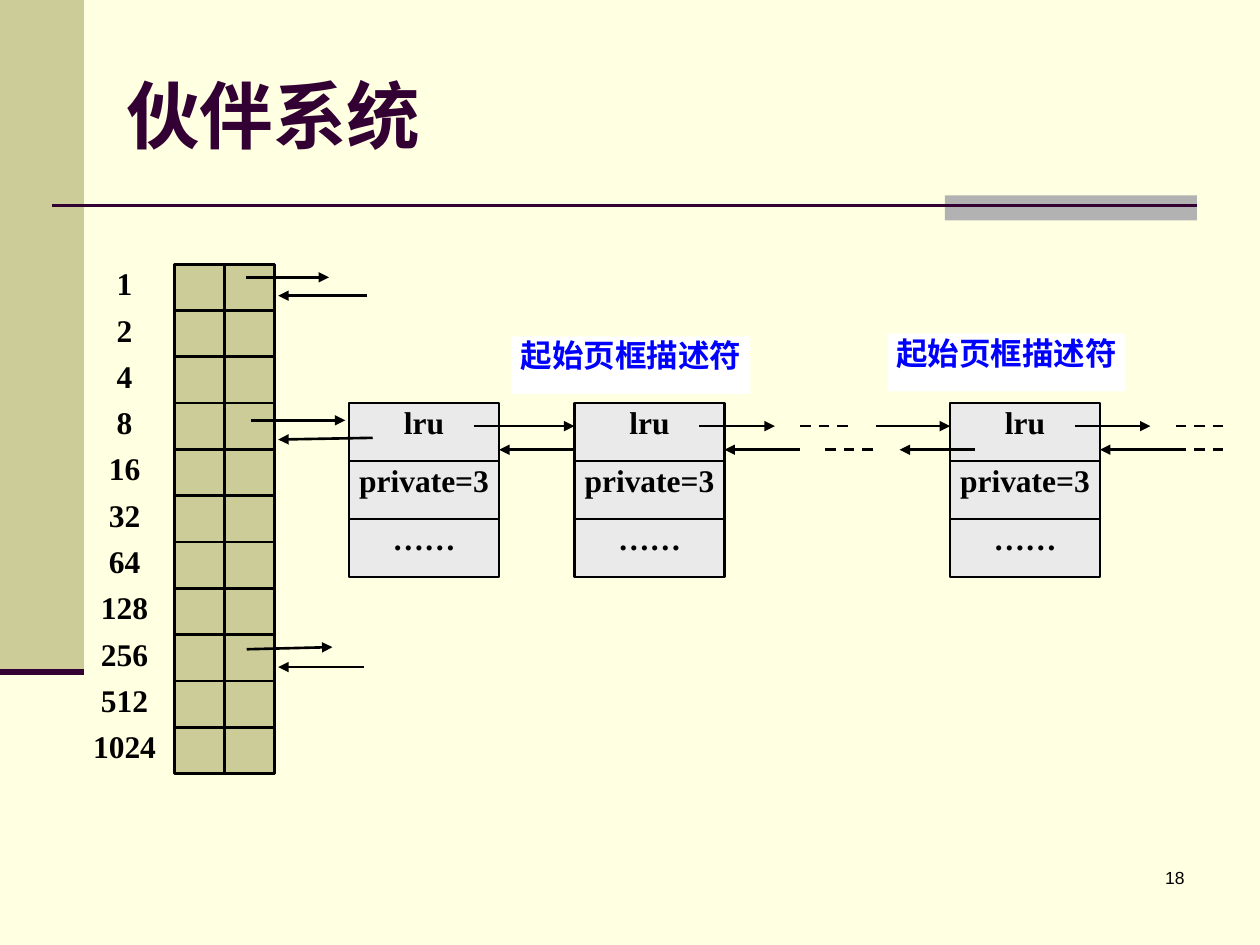
from lxml.etree import SubElement as Sub
from pptx import Presentation as Deck
from pptx.dml.color import RGBColor as RGB
from pptx.enum.dml import MSO_LINE as Dash
from pptx.enum.shapes import MSO_CONNECTOR as Link, MSO_SHAPE as Form
from pptx.enum.text import MSO_ANCHOR as Anchor, MSO_AUTO_SIZE as Fit, PP_ALIGN as Align
from pptx.oxml.ns import qn
from pptx.util import Pt

CREAM = RGB(0xFF, 0xFF, 0xE1)
KHAKI = RGB(0xCC, 0xCC, 0x99)
GRAY = RGB(0xB2, 0xB2, 0xB2)
PALE = RGB(0xEA, 0xEA, 0xEA)
PLUM = RGB(0x33, 0x00, 0x33)
BLUE = RGB(0x00, 0x00, 0xFF)
WHITE = RGB(0xFF, 0xFF, 0xFF)
BLACK = RGB(0x00, 0x00, 0x00)

SERIF = "Times New Roman"
SANS = "DejaVu Sans"
ORDERS = 11
TAIL = 14.4
OUT, BACK = 13.1, 26.6


def write(shape, *parts, size=18, font=SERIF, color=BLACK, bold=True,
          align=Align.CENTER, anchor=Anchor.TOP, pad=(0, 0)):
    frame = shape.text_frame
    frame.word_wrap = True
    frame.auto_size = Fit.NONE
    frame.vertical_anchor = anchor
    frame.margin_left = frame.margin_right = Pt(pad[0])
    frame.margin_top = frame.margin_bottom = Pt(pad[1])
    para = frame.paragraphs[0]
    para.alignment = align
    for part in parts:
        text, face = part if isinstance(part, tuple) else (part, font)
        run = para.add_run()
        run.text = text
        run.font.name = face
        run.font.size = Pt(size)
        run.font.bold = bold
        run.font.color.rgb = color


def rect(slide, x, y, w, h, fill, line=None):
    shape = slide.shapes.add_shape(Form.RECTANGLE, Pt(x), Pt(y), Pt(w), Pt(h))
    shape.shadow.inherit = False
    shape.fill.solid()
    shape.fill.fore_color.rgb = fill
    if line is None:
        shape.line.fill.background()
    else:
        shape.line.color.rgb = line
        shape.line.width = Pt(1.5)
    return shape


def label(slide, x, y, w, h, text, **form):
    box = slide.shapes.add_textbox(Pt(x), Pt(y), Pt(w), Pt(h))
    write(box, text, **form)


def rule(slide, x1, y1, x2, y2, color=BLACK, width=1.5, tip=False, dash=False):
    line = slide.shapes.add_connector(Link.STRAIGHT, Pt(x1), Pt(y1), Pt(x2), Pt(y2))
    line.line.color.rgb = color
    line.line.width = Pt(width)
    if dash:
        line.line.dash_style = Dash.DASH
    if tip:
        Sub(line.line._get_or_add_ln(), qn("a:tailEnd"), type="triangle")
    Sub(line._element.spPr, qn("a:effectLst"))


def frame(slide, x, y, w, h):
    rect(slide, x, y, 48, 384, KHAKI)
    rect(slide, x + w - 180, y + 111.6, 144, 14.4, GRAY)
    rule(slide, x + 30, y + 117.4, x + w - 36, y + 117.4, PLUM)
    rule(slide, x, y + 384, x + 48, y + 384, PLUM, 3.5)
    label(slide, x + w - 186, y + h - 48, 150, 36, "18", size=10, font="Arial",
          bold=False, align=Align.RIGHT, pad=(7.2, 3.6))


def head(slide, x, y, w, h):
    title = slide.shapes.title
    title.left, title.top, title.width, title.height = map(Pt, (x, y, w, h))
    write(title, "伙伴系统", size=42, color=PLUM, align=Align.LEFT,
          anchor=Anchor.MIDDLE, pad=(7.2, 3.6))


def array(slide, x, y, w, h):
    side = w / 2
    step = h / ORDERS
    for i in range(ORDERS):
        top = y + i * step
        rect(slide, x + side, top, side, step, KHAKI, BLACK)
        label(slide, x, top, side, step, str(2 ** i))
    rule(slide, x + side * 1.5, y, x + side * 1.5, y + h)


def stubs(slide, x, y):
    arrows = [
        (-16.5, 7.5, 31, 7.5), (53, 18, 2, 18),
        (-13.5, 89.2, 40.3, 89.2), (56, 99.2, 2, 100.2),
        (-16, 220, 33, 218.8), (51, 230.2, 2, 230.2),
    ]
    for x1, y1, x2, y2 in arrows:
        rule(slide, x + x1, y + y1, x + x2, y + y2, tip=True)


def node(slide, x, y, w, h):
    step = h / 3
    for i, text in enumerate(("lru", "private=3", "……")):
        write(rect(slide, x, y + i * step, w, step, PALE, BLACK), text)


def pair(slide, x, y, gap):
    rule(slide, x - TAIL, y + OUT, x + gap, y + OUT, tip=True)
    rule(slide, x + gap + TAIL, y + BACK, x, y + BACK, tip=True)


def chain(slide, x, y, w, h):
    lefts = (x, x + 128.8, x + 343.4)
    for left, gap in zip(lefts, (43, 28.8, 28.8)):
        node(slide, left, y, w, h)
        pair(slide, left + w, y, gap)
    last = lefts[2]
    rule(slide, last - 42.5, y + OUT, last, y + OUT, tip=True)
    rule(slide, last + TAIL, y + BACK, last - 28.8, y + BACK, tip=True)
    for start, drop in ((257.8, OUT), (272.2, BACK), (472.4, OUT), (472.4, BACK)):
        rule(slide, x + start, y + drop, x + start + 28.8, y + drop, dash=True)
    first = rect(slide, lefts[1] - 36, y - 38.2, 136.5, 33.1, WHITE)
    write(first, ("起始", SANS), "页框描述符", color=BLUE)
    other = rect(slide, last - 35.5, y - 39.8, 135.5, 33.1, WHITE)
    write(other, "起始页框描述符", color=BLUE)


def main():
    deck = Deck()
    deck.slide_width, deck.slide_height = Pt(720), Pt(540)
    slide = deck.slides.add_slide(deck.slide_layouts[5])
    slide.background.fill.solid()
    slide.background.fill.fore_color.rgb = CREAM
    frame(slide, 0, 0, 720, 540)
    head(slide, 64.8, 20.4, 612, 90)
    array(slide, 42.6, 151, 114.4, 291)
    chain(slide, 199.5, 230.4, 85.7, 99.3)
    stubs(slide, 157, 151)
    deck.save("out.pptx")


if __name__ == "__main__":
    main()
